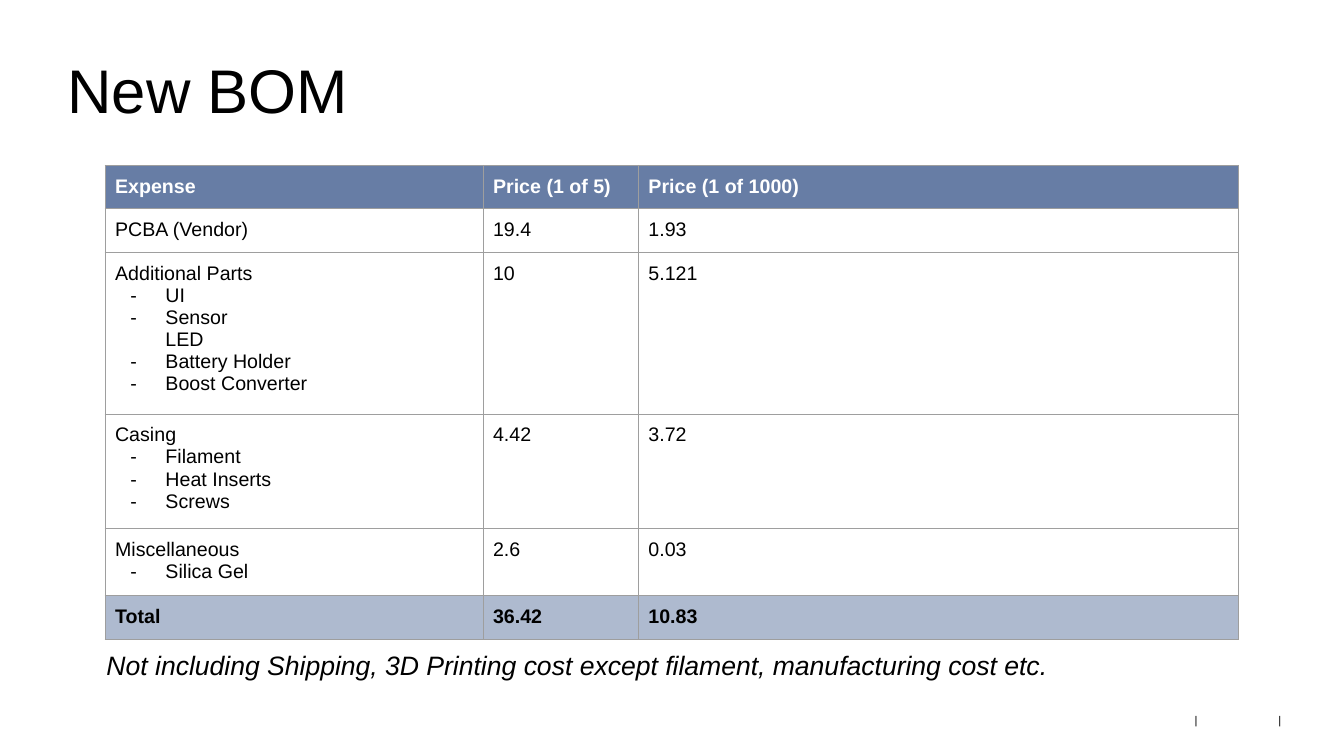
from lxml import etree
from pptx import Presentation
from pptx import util as u
from pptx.dml.color import RGBColor
from pptx.enum import text
from pptx.oxml import ns

Pt = u.Pt
FONT = "Arial"
COLORS = {"ink": "000000", "white": "FFFFFF", "header": "677DA5",
          "total": "AEBACF", "border": "9E9E9E"}
COL_WIDTHS = [270, 111, 429]
ROW_HEIGHT = 30
ROWS = [
    ("Expense", [], "Price (1 of 5)", "Price (1 of 1000)"),
    ("PCBA (Vendor)", [], "19.4", "1.93"),
    ("Additional Parts", ["UI", "Sensor\nLED", "Battery Holder", "Boost Converter"],
     "10", "5.121"),
    ("Casing", ["Filament", "Heat Inserts", "Screws"], "4.42", "3.72"),
    ("Miscellaneous", ["Silica Gel"], "2.6", "0.03"),
    ("Total", [], "36.42", "10.83"),
]


def add_runs(p, words, size, color="ink", bold=False, italic=False):
    """Write words into a paragraph, with a line break at each newline."""
    for i, line in enumerate(words.split("\n")):
        if i:
            p.add_line_break()
        r = p.add_run()
        r.text = line
        r.font.name, r.font.size = FONT, Pt(size)
        r.font.bold, r.font.italic = bold, italic
        r.font.color.rgb = RGBColor.from_string(COLORS[color])


def add_label(slide, box, words, size, inset=(0, 0), middle=True, align=None,
              spacing=None, italic=False):
    """Place a one-paragraph text box in the given box."""
    tf = slide.shapes.add_textbox(*map(Pt, box)).text_frame
    tf.word_wrap = True
    tf.margin_left = tf.margin_right = Pt(inset[0])
    tf.margin_top = tf.margin_bottom = Pt(inset[1])
    tf.vertical_anchor = text.MSO_ANCHOR.MIDDLE if middle else text.MSO_ANCHOR.TOP
    p = tf.paragraphs[0]
    p.alignment, p.line_spacing = align, spacing
    add_runs(p, words, size, italic=italic)


def add_dash(p):
    """Give a paragraph a hanging dash bullet."""
    pPr = p._p.get_or_add_pPr()
    pPr.set("marL", str(Pt(36)))
    pPr.set("indent", str(-Pt(25)))
    color = etree.SubElement(pPr, ns.qn("a:buClr"))
    etree.SubElement(color, ns.qn("a:srgbClr"), val=COLORS["ink"])
    etree.SubElement(pPr, ns.qn("a:buFont"), typeface=FONT)
    etree.SubElement(pPr, ns.qn("a:buChar"), char="-")


def add_borders(cell):
    """Draw a thin line on all four sides of a cell."""
    tcPr = cell._tc.get_or_add_tcPr()
    for i, side in enumerate("LRTB"):
        ln = etree.Element(ns.qn(f"a:ln{side}"), w=str(Pt(0.75)))
        fill = etree.SubElement(ln, ns.qn("a:solidFill"))
        etree.SubElement(fill, ns.qn("a:srgbClr"), val=COLORS["border"])
        tcPr.insert(i, ln)


def fill_cell(cell, words, items, fill, color, bold):
    """Write one table cell with its optional dashed items."""
    cell.margin_left = cell.margin_right = Pt(7.2)
    cell.margin_top = cell.margin_bottom = Pt(7.2)
    if fill:
        cell.fill.solid()
        cell.fill.fore_color.rgb = RGBColor.from_string(COLORS[fill])
    else:
        cell.fill.background()
    add_borders(cell)
    tf = cell.text_frame
    add_runs(tf.paragraphs[0], words, 14, color, bold)
    for item in items:
        p = tf.add_paragraph()
        add_dash(p)
        add_runs(p, item, 14, color, bold)


def add_cost_table(slide, left, top):
    """Place the cost table, whose rows grow to fit their text, at the given point."""
    table = slide.shapes.add_table(
        len(ROWS), len(COL_WIDTHS), Pt(left), Pt(top),
        Pt(sum(COL_WIDTHS)), Pt(ROW_HEIGHT * len(ROWS))).table
    table.first_row = table.horz_banding = False
    for col, width in zip(table.columns, COL_WIDTHS):
        col.width = Pt(width)
    styles = {0: ("header", "white", True), len(ROWS) - 1: ("total", "ink", True)}
    for i, (expense, items, *prices) in enumerate(ROWS):
        table.rows[i].height = Pt(ROW_HEIGHT)
        style = styles.get(i, (None, "ink", False))
        fill_cell(table.cell(i, 0), expense, items, *style)
        for j, price in enumerate(prices, 1):
            fill_cell(table.cell(i, j), price, [], *style)


def add_footer_marks(slide, left, top, gap):
    """Place the two footer separators a gap apart."""
    for i in range(2):
        add_label(slide, (left + i * gap, top, 10.8, 36.7), "|", 8,
                  inset=(2.9, 3.6), align=text.PP_ALIGN.CENTER)


def main():
    """Build the slide and save it."""
    prs = Presentation()
    prs.slide_width, prs.slide_height = Pt(960), Pt(540)
    s = prs.slides.add_slide(prs.slide_layouts[6])
    add_footer_marks(s, 849, 496, 59.7)
    add_label(s, (69, 456.5, 822, 57), inset=(7.2, 7.2), middle=False, italic=True, size=19,
              words="Not including Shipping, 3D Printing cost except filament, manufacturing cost etc.")
    add_cost_table(s, 75, 118)
    add_label(s, (48.2, 21.6, 863, 90), "New BOM", 44, spacing=0.9)
    prs.save("out.pptx")


if __name__ == "__main__":
    main()
